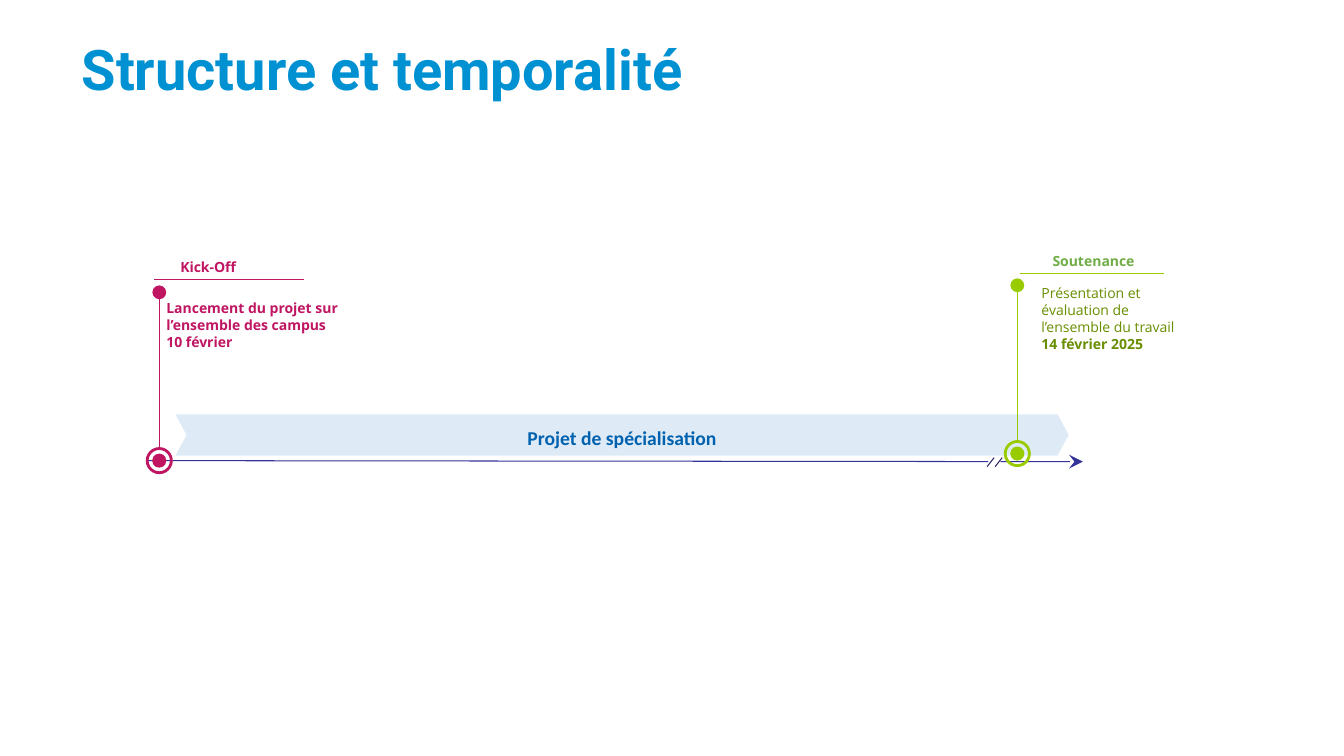
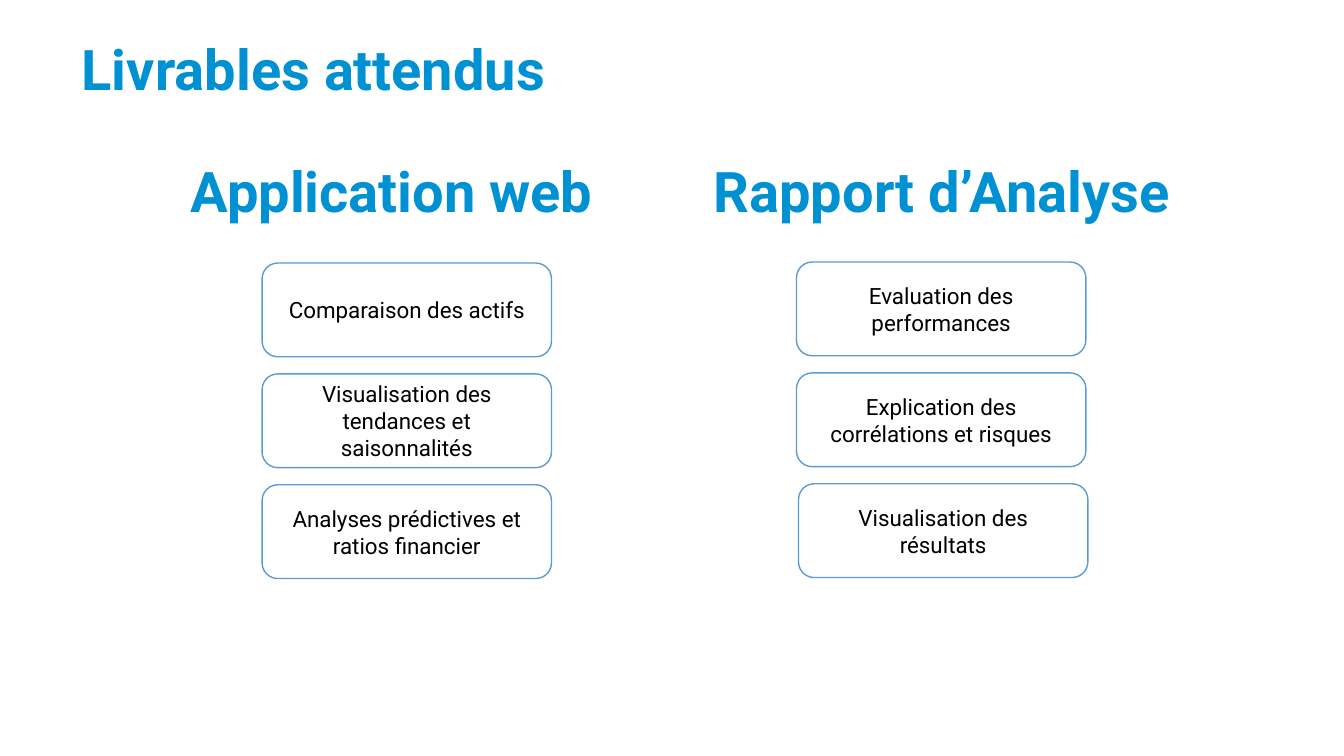
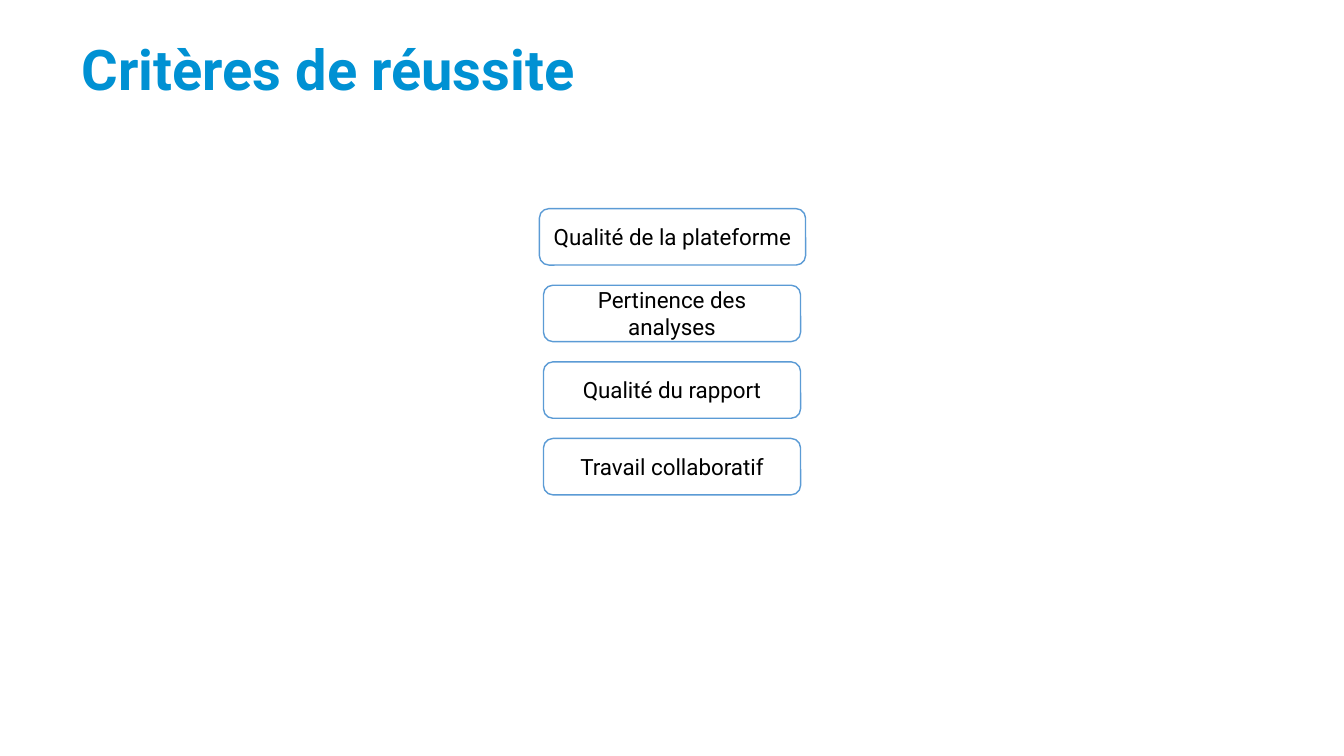
import pptx
import pptx.util
from lxml import etree
from pptx.dml.color import RGBColor
from pptx.enum.shapes import MSO_CONNECTOR, MSO_SHAPE
from pptx.enum.text import MSO_ANCHOR, MSO_AUTO_SIZE, PP_ALIGN
from pptx.oxml.ns import qn

PX = 9144  # 100 px to the inch

WHITE = RGBColor(0xFF, 0xFF, 0xFF)
BLACK = RGBColor(0x00, 0x00, 0x00)
TITLE_BLUE = RGBColor(0x00, 0x91, 0xD3)
PHASE_BLUE = RGBColor(0x00, 0x62, 0xAE)
PHASE_FILL = RGBColor(0xDE, 0xEB, 0xF7)
CARD_BORDER = RGBColor(0x5B, 0x9B, 0xD5)
AXIS = RGBColor(0x33, 0x33, 0x99)
BREAK = RGBColor(0x2C, 0x25, 0x6B)
MAGENTA = RGBColor(0xC0, 0x16, 0x62)
LIME = RGBColor(0x99, 0xCC, 0x00)
GREEN = RGBColor(0x70, 0xAD, 0x47)
OLIVE = RGBColor(0x69, 0x8E, 0x00)


def add_shape(slide, geometry, box, fill=None, border=None, weight=1, lines=(),
              font="Roboto", size=16, color=BLACK, align=PP_ALIGN.CENTER, margin=None):
    """Add a flat shape; lines holds (text, bold) pairs, one per paragraph."""
    shape = slide.shapes.add_shape(geometry, *[v * PX for v in box])
    shape.shadow.inherit = False
    if fill is None:
        shape.fill.background()
    else:
        shape.fill.solid()
        shape.fill.fore_color.rgb = fill
    if border is None:
        shape.line.fill.background()
    else:
        shape.line.color.rgb = border
        shape.line.width = pptx.util.Pt(weight)
    frame = shape.text_frame
    frame.vertical_anchor = MSO_ANCHOR.MIDDLE
    if margin is not None:
        frame.margin_left = frame.margin_right = margin * PX
        frame.margin_top = frame.margin_bottom = margin * PX
    for i, (text, bold) in enumerate(lines):
        paragraph = frame.add_paragraph() if i else frame.paragraphs[0]
        paragraph.text = text
        paragraph.alignment = align
        paragraph.font.name = font
        paragraph.font.size = pptx.util.Pt(size)
        paragraph.font.bold = bold
        paragraph.font.color.rgb = color
    return shape


def add_line(slide, ends, color, arrowhead=None):
    line = slide.shapes.add_connector(MSO_CONNECTOR.STRAIGHT, *[v * PX for v in ends])
    line.line.color.rgb = color
    line.line.width = pptx.util.Pt(0.75)
    if arrowhead:
        etree.SubElement(line.line._get_or_add_ln(), qn("a:tailEnd"),
                         type=arrowhead, w="lg", len="lg")
    etree.SubElement(line._element.spPr, qn("a:effectLst"))


deck = pptx.Presentation()
deck.slide_width = 1333 * PX
deck.slide_height = 750 * PX

# Shared title position
title_only = deck.slide_layouts[5]
layout_title = title_only.placeholders[0]
layout_title.left, layout_title.top = 71 * PX, 37 * PX
layout_title.width, layout_title.height = 908 * PX, 69 * PX

slides = []
headings = []
for title in ["Structure et temporalité", "Livrables attendus", "Critères de réussite"]:
    slide = deck.slides.add_slide(title_only)
    slide.shapes.title.text = title
    heading = slide.shapes.title.text_frame.paragraphs[0]
    heading.alignment = PP_ALIGN.LEFT
    heading.line_spacing = 0.9
    headings.append(heading)
    slides.append(slide)
timeline, deliverables, criteria = slides

# Timeline
phase = add_shape(timeline, MSO_SHAPE.CHEVRON, (174, 411, 886, 41), PHASE_FILL,
                  lines=[("Projet de spécialisation", True)],
                  font="Calibri", size=14, color=PHASE_BLUE)
phase.adjustments[0] = 0.27
phase.text_frame.margin_bottom = 0

add_line(timeline, (146, 457, 1074, 458), AXIS, "stealth")
add_shape(timeline, MSO_SHAPE.PARALLELOGRAM, (979, 455, 14, 8), WHITE)
for foot in (979, 987):
    add_line(timeline, (foot + 7, 454, foot, 463), BREAK)

milestones = [
    # centre, stem top, rule, colour, heading, heading box, heading colour,
    # detail lines, detail box, detail colour
    ((158, 457), 290, (153, 277, 302, 277), MAGENTA,
     "Kick-Off", (153, 260, 107, 9), MAGENTA,
     [("Lancement du projet sur l’ensemble des campus", True), ("10 février", True)],
     (165, 299, 172, 47), MAGENTA),
    ((1009, 450), 283, (1012, 271, 1154, 271), LIME,
     "Soutenance", (1000, 252, 169, 13), GREEN,
     [("Présentation et évaluation de l’ensemble du travail", False),
      ("14 février 2025", True)],
     (1033, 278, 140, 76), OLIVE),
]
for ((x, y), stem_top, rule, color, name, name_box, name_color,
     details, details_box, details_color) in milestones:
    add_shape(timeline, MSO_SHAPE.OVAL, (x - 7, y - 7, 14, 14), color)
    add_shape(timeline, MSO_SHAPE.OVAL, (x - 12, y - 12, 24, 24), border=color, weight=2)
    add_line(timeline, (x, y - 12, x, stem_top), color, "oval")
    add_line(timeline, rule, color)
    add_shape(timeline, MSO_SHAPE.RECTANGLE, name_box, WHITE, lines=[(name, True)],
              font="Open Sans", size=10, color=name_color, margin=0)
    add_shape(timeline, MSO_SHAPE.RECTANGLE, details_box, WHITE, lines=details,
              font="Open Sans", size=10, color=details_color,
              align=PP_ALIGN.LEFT, margin=0)

# Deliverables: one column of cards under each section name
sections = [
    ("Application web", 93, 591, 261,
     [("Comparaison des actifs", 260),
      ("Visualisation des tendances et saisonnalités", 260),
      ("Analyses prédictives et ratios financier", 260)]),
    ("Rapport d’Analyse", 659, 550, 260,
     [("Evaluation des performances", 790),
      ("Explication des corrélations et risques", 790),
      ("Visualisation des résultats", 792)]),
]
cards = []
for name, left, width, top, items in sections:
    section = deliverables.shapes.add_textbox(left * PX, 150 * PX, width * PX, 77 * PX)
    section.text_frame.word_wrap = True
    section.text_frame.auto_size = MSO_AUTO_SIZE.SHAPE_TO_FIT_TEXT
    section.text_frame.text = name
    heading = section.text_frame.paragraphs[0]
    heading.alignment = PP_ALIGN.CENTER
    headings.append(heading)
    for row, (item, card_left) in enumerate(items):
        cards.append((deliverables, item, (card_left, top + row * 110, 287, 93)))

# Criteria: a single column, the first card slightly wider
for row, (item, left, width) in enumerate([
        ("Qualité de la plateforme", 535, 264),
        ("Pertinence des analyses", 539, 255),
        ("Qualité du rapport", 539, 255),
        ("Travail collaboratif", 539, 255)]):
    cards.append((criteria, item, (left, 207 + row * 76, width, 56)))

for slide, item, box in cards:
    add_shape(slide, MSO_SHAPE.ROUNDED_RECTANGLE, box, WHITE, CARD_BORDER,
              lines=[(item, False)])

for heading in headings:
    heading.font.name = "Roboto"
    heading.font.size = pptx.util.Pt(40)
    heading.font.bold = True
    heading.font.color.rgb = TITLE_BLUE

deck.save("out.pptx")
